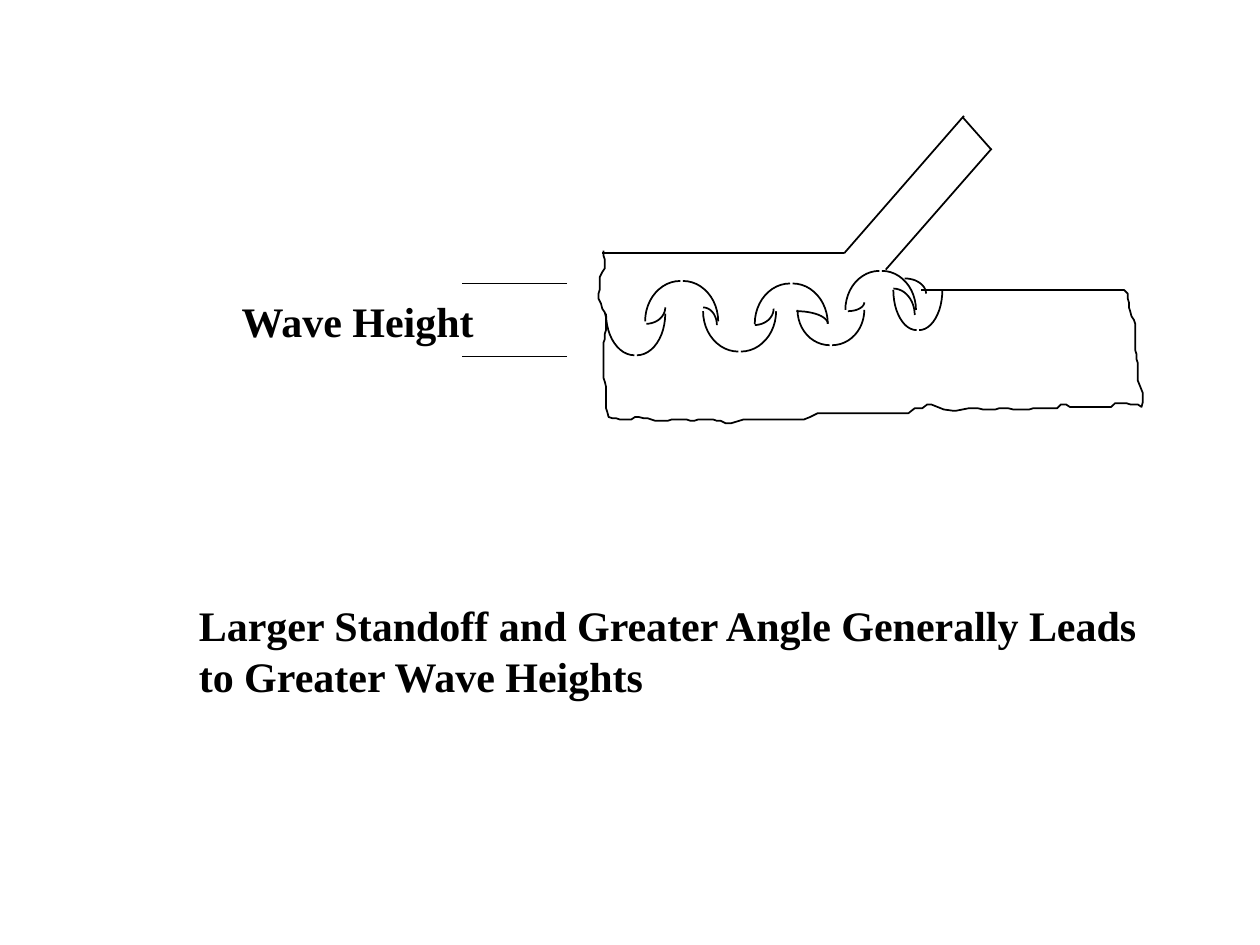
import math
from dataclasses import dataclass

import pptx
import pptx.dml.color
import pptx.enum.shapes
import pptx.enum.text
import pptx.oxml.ns
import pptx.util
from lxml import etree
from pptx.util import Inches


@dataclass(frozen=True)
class Theme:
    ink: pptx.dml.color.RGBColor = pptx.dml.color.RGBColor(0, 0, 0)
    font: str = "Times New Roman"
    text_size: pptx.util.Pt = pptx.util.Pt(24)
    outline: pptx.util.Pt = pptx.util.Pt(1)
    marker: pptx.util.Pt = pptx.util.Pt(0.75)


THEME = Theme()
ARC_STEPS = 12
CREST_GAP = 0.02

PLATE_EDGES = [
    ((0.03, 1.09), (1.95, 1.09)),
    ((1.95, 1.09), (2.9, 0)),
    ((3.12, 0.26), (2.28, 1.22)),
    ((2.56, 1.38), (4.17, 1.38)),
    ((2.89, 0.01), (3.12, 0.27)),
]
CRESTS = [(0.37, 1.31, 0.58, 0.32), (1.24, 1.33, 0.58, 0.32), (1.96, 1.23, 0.56, 0.31)]
TROUGHS = [
    (0.06, 1.57, 0.47, 0.33),
    (0.83, 1.55, 0.58, 0.32),
    (1.58, 1.54, 0.53, 0.28),
    (2.34, 1.38, 0.39, 0.32),
]
UPPER_CURLS = [
    (1.57, 1.55, 0.25, 0.1),
    (0.83, 1.52, 0.11, 0.14),
    (2.43, 1.29, 0.17, 0.12),
    (2.34, 1.37, 0.17, 0.21),
]
LOWER_CURLS = [(0.38, 1.52, 0.15, 0.13), (1.24, 1.53, 0.15, 0.13), (1.98, 1.48, 0.13, 0.07)]
BROKEN_EDGE = [
    (0.04, 1.07), (0.04, 1.11), (0.05, 1.14), (0.05, 1.21), (0.03, 1.24), (0.01, 1.28),
    (0.01, 1.38), (0, 1.41), (0, 1.45), (0.02, 1.49), (0.03, 1.53), (0.05, 1.56),
    (0.06, 1.6), (0.06, 1.7), (0.05, 1.73), (0.05, 1.77), (0.04, 1.8), (0.04, 2.08),
    (0.05, 2.11), (0.06, 2.15), (0.06, 2.32), (0.07, 2.35), (0.08, 2.39), (0.11, 2.4),
    (0.14, 2.4), (0.17, 2.41), (0.26, 2.41), (0.29, 2.39), (0.32, 2.39), (0.36, 2.4),
    (0.39, 2.4), (0.45, 2.42), (0.55, 2.42), (0.58, 2.41), (0.7, 2.41), (0.73, 2.42),
    (0.76, 2.42), (0.79, 2.41), (0.91, 2.41), (0.94, 2.42), (0.97, 2.42), (1.01, 2.44),
    (1.05, 2.44), (1.15, 2.41), (1.63, 2.41), (1.68, 2.39), (1.74, 2.36), (2.46, 2.36),
    (2.51, 2.32), (2.57, 2.32), (2.61, 2.29), (2.64, 2.29), (2.74, 2.33), (2.81, 2.34),
    (2.84, 2.34), (2.94, 2.32), (3.01, 2.32), (3.05, 2.33), (3.15, 2.33), (3.18, 2.32),
    (3.25, 2.32), (3.29, 2.33), (3.42, 2.33), (3.45, 2.32), (3.64, 2.32), (3.67, 2.29),
    (3.71, 2.29), (3.74, 2.31), (4.07, 2.31), (4.1, 2.28), (4.19, 2.28), (4.22, 2.29),
    (4.28, 2.29), (4.31, 2.31), (4.32, 2.27), (4.32, 2.2), (4.28, 2.1), (4.28, 1.96),
    (4.27, 1.93), (4.27, 1.89), (4.26, 1.86), (4.26, 1.65), (4.25, 1.62), (4.23, 1.59),
    (4.22, 1.55), (4.21, 1.52), (4.21, 1.48), (4.2, 1.45), (4.2, 1.41), (4.17, 1.38),
]


def draw_line(shapes, start, end, width):
    line = shapes.add_connector(
        pptx.enum.shapes.MSO_CONNECTOR.STRAIGHT,
        *(Inches(length) for length in (*start, *end)),
    )
    line.line.color.rgb = THEME.ink
    line.line.width = width
    etree.SubElement(line._element.spPr, pptx.oxml.ns.qn("a:effectLst"))


def draw_outline(shapes, points):
    start, *rest = [(Inches(x), Inches(y)) for x, y in points]
    builder = shapes.build_freeform(*start, scale=1.0)
    builder.add_line_segments(rest, close=False)
    outline = builder.convert_to_shape()
    outline.shadow.inherit = False
    outline.fill.background()
    outline.line.color.rgb = THEME.ink
    outline.line.width = THEME.outline


def quarter_arc(left, top, width, height, right_side, upper):
    center_x = left if right_side else left + width
    center_y = top + height if upper else top
    reach_x = width if right_side else -width
    reach_y = -height if upper else height
    angles = [math.pi / 2 * step / ARC_STEPS for step in range(ARC_STEPS + 1)]
    return [
        (center_x + reach_x * math.cos(a), center_y + reach_y * math.sin(a)) for a in angles
    ]


def draw_wave(shapes, left, top, width, height, upper):
    half = (width - CREST_GAP) / 2
    draw_outline(shapes, quarter_arc(left, top, half, height, False, upper))
    draw_outline(shapes, quarter_arc(left + half + CREST_GAP, top, half, height, True, upper))


def draw_weld(slide, left, top):
    weld = slide.shapes.add_group_shape().shapes

    def shift(points):
        return [(left + x, top + y) for x, y in points]

    for edge in PLATE_EDGES:
        draw_line(weld, *shift(edge), THEME.outline)
    for waves, curls, upper in ((CRESTS, UPPER_CURLS, True), (TROUGHS, LOWER_CURLS, False)):
        for x, y, width, height in waves:
            draw_wave(weld, left + x, top + y, width, height, upper)
        for curl in curls:
            draw_outline(weld, shift(quarter_arc(*curl, True, upper)))
    draw_outline(weld, shift(BROKEN_EDGE))


def draw_text(slide, left, top, width, height, lines):
    frame = slide.shapes.add_textbox(*map(Inches, (left, top, width, height))).text_frame
    frame.word_wrap = False
    frame.auto_size = pptx.enum.text.MSO_AUTO_SIZE.SHAPE_TO_FIT_TEXT
    frame.text = "\n".join(lines)
    for paragraph in frame.paragraphs:
        paragraph.font.name = THEME.font
        paragraph.font.size = THEME.text_size
        paragraph.font.bold = True
        paragraph.font.color.rgb = THEME.ink


def draw_wave_height(slide, left, top, width, height):
    marker_length = 0.83
    for y in (top, top + height):
        draw_line(
            slide.shapes, (left + width, y), (left + width - marker_length, y), THEME.marker
        )
    draw_text(slide, left, top + 0.05, 2.06, 0.5, ["Wave Height"])


def main():
    presentation = pptx.Presentation()
    presentation.slide_width = Inches(10)
    presentation.slide_height = Inches(7.5)
    slide = presentation.slides.add_slide(presentation.slide_layouts.get_by_name("Blank"))
    draw_weld(slide, 4.75, 0.92)
    draw_wave_height(slide, 1.82, 2.25, 2.68, 0.58)
    draw_text(
        slide, 1.48, 4.71, 7.76, 0.9,
        ["Larger Standoff and Greater Angle Generally Leads", "to Greater Wave Heights"],
    )
    presentation.save("out.pptx")


if __name__ == "__main__":
    main()
